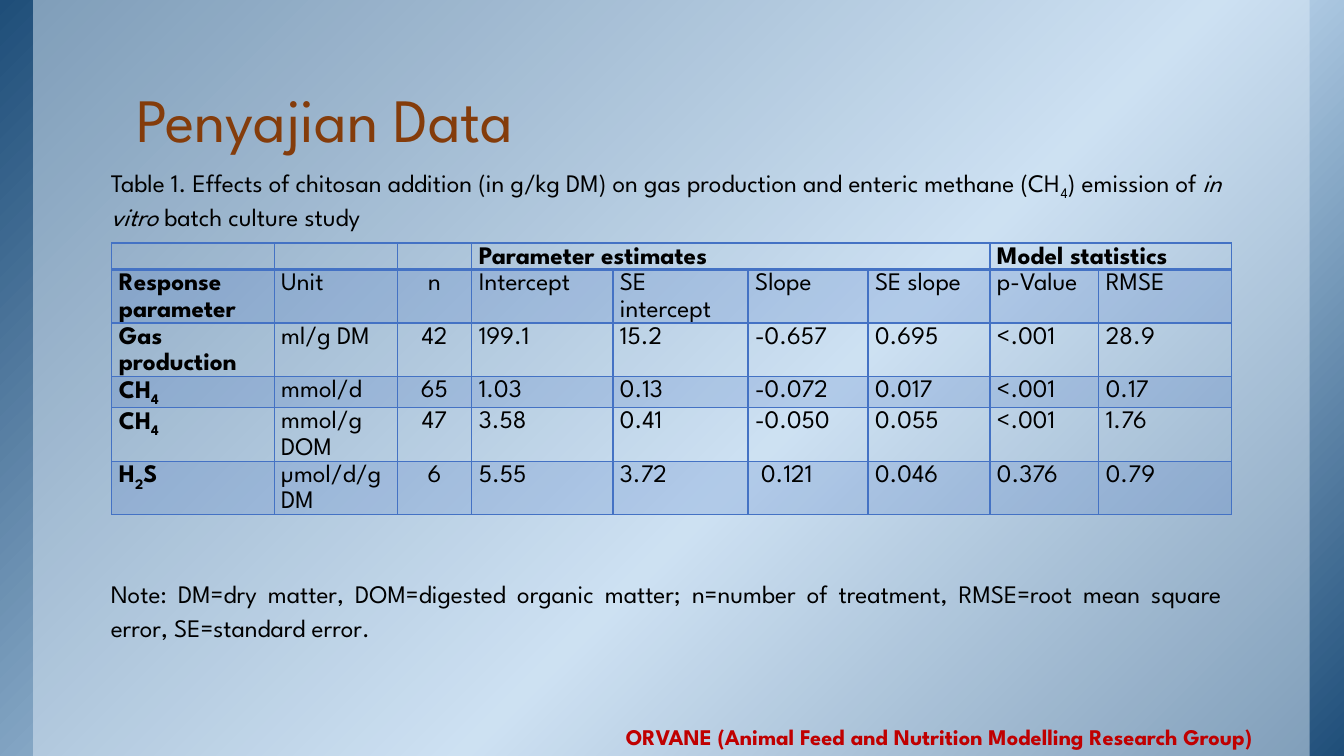
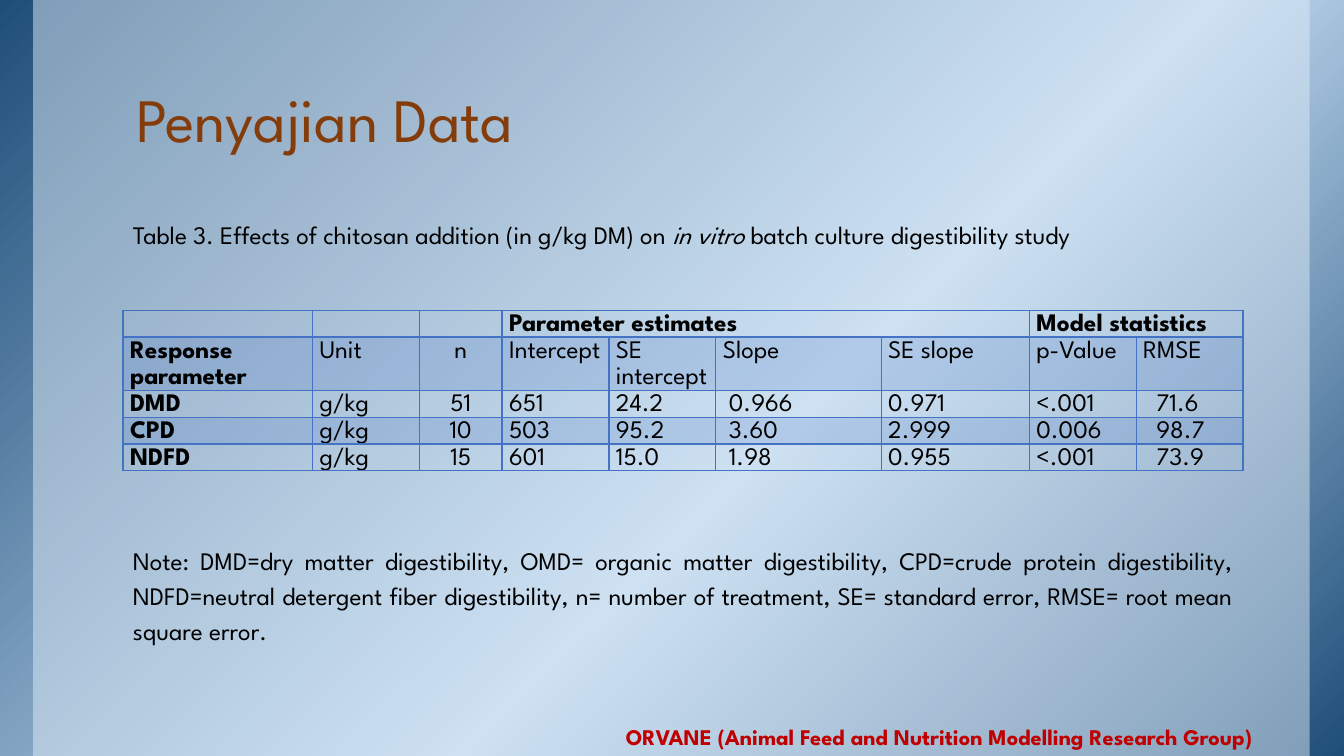
from lxml import etree
from pptx import Presentation
from pptx.dml.color import RGBColor
from pptx.enum.shapes import MSO_SHAPE as Shape
from pptx.enum.text import MSO_ANCHOR as Anchor, PP_ALIGN as Align
from pptx.oxml import parse_xml
from pptx.oxml.ns import nsdecls, qn
from pptx.util import Inches, Pt

WIDTH, HEIGHT = 13.33, 7.5
FONT = "League Spartan"
NAVY, SKY, PALE = "1F4E79", "BDD7EE", "DEEBF7"
BROWN, RED, BLACK, BLUE = "843C0B", "C00000", "000000", "4472C4"
FOOTER = "ORVANE (Animal Feed and Nutrition Modelling Research Group)"
TITLE_BOX = (1.22, 0.08, 11.11, 1.53)
FOOTER_BOX = (6.11, 7.12, 7.03, 0.37)

GROUPS = ["", "", "", "Parameter estimates", "", "", "", "Model statistics", ""]
HEADINGS = ["Response parameter", "Unit", "n", "Intercept", "SE intercept",
            "Slope", "SE slope", "p-Value", "RMSE"]

GAS_PAGE = dict(
    caption="Table 1. Effects of chitosan addition (in g/kg DM) on gas production and "
            "enteric methane (CH~4~) emission of *in vitro* batch culture study",
    caption_box=(1, 1.61, 11.22, 0.71),
    caption_format={},
    table_at=(1.11, 2.41),
    columns=[1.61, 1.22, 0.74, 1.4, 1.34, 1.19, 1.21, 1.08, 1.32],
    heights=[0.26, 0.53, 0.53, 0.31, 0.53, 0.53],
    records=[
        ["Gas production", "ml/g DM", "42", "199.1", "15.2", "-0.657", "0.695", "<.001", "28.9"],
        ["CH~4~", "mmol/d", "65", "1.03", "0.13", "-0.072", "0.017", "<.001", "0.17"],
        ["CH~4~", "mmol/g DOM", "47", "3.58", "0.41", "-0.050", "0.055", "<.001", "1.76"],
        ["H~2~S", "µmol/d/g DM", "6", "5.55", "3.72", "0.121", "0.046", "0.376", "0.79"],
    ],
    indents={(5, 5): 0.06},
    note="Note: DM=dry matter, DOM=digested organic matter; n=number of treatment, "
         "RMSE=root mean square error, SE=standard error.",
    note_box=(1, 5.64, 11.22, 0.78),
)

DIGESTIBILITY_PAGE = dict(
    caption="Table 3. Effects of chitosan addition (in g/kg DM) on *in vitro* "
            "batch culture digestibility study",
    caption_box=(1.22, 2.08, 11.11, 0.77),
    caption_format=dict(align=Align.JUSTIFY, spacing=1.15),
    table_at=(1.22, 3.08),
    columns=[1.88, 1.06, 0.82, 1.06, 1.06, 1.64, 1.47, 1.06, 1.06],
    heights=[0.26, 0.53, 0.26, 0.26, 0.26],
    records=[
        ["DMD", "g/kg", "51", "651", "24.2", "0.966", "0.971", "<.001", "71.6"],
        ["CPD", "g/kg", "10", "503", "95.2", "3.60", "2.999", "0.006", "98.7"],
        ["NDFD", "g/kg", "15", "601", "15.0", "1.98", "0.955", "<.001", "73.9"],
    ],
    indents={(row, col): inset for row in (2, 3, 4) for col, inset in ((5, 0.06), (8, 0.13))},
    note="Note: DMD=dry matter digestibility, OMD= organic matter digestibility, "
         "CPD=crude protein digestibility, NDFD=neutral detergent fiber digestibility, "
         "n= number of treatment, SE= standard error, RMSE= root mean square error.",
    note_box=(1.22, 5.32, 11.11, 1.12),
)


def color(value):
    """Turn a hex string into a colour."""
    return RGBColor.from_string(value)


def inches(box):
    """Turn a sequence of inches into lengths."""
    return [Inches(value) for value in box]


def set_alpha(element, percent):
    """Make the solid colours inside an element partly transparent."""
    for solid in element.iter(qn("a:srgbClr")):
        etree.SubElement(solid, qn("a:alpha")).set("val", str(percent * 1000))


def write(frame, text, size=18, ink=BLACK, bold=False, align=Align.LEFT, spacing=None):
    """Write text in a frame, with *italic* and ~subscript~ marks."""
    frame.word_wrap = True
    para = frame.paragraphs[0]
    para.alignment, para.line_spacing = align, spacing
    for italic, chunk in enumerate(text.split("*")):
        for lowered, part in enumerate(chunk.split("~")):
            if not part:
                continue
            span = para.add_run()
            span.text = part
            font = span.font
            font.name, font.size, font.bold = FONT, Pt(size), bold
            font.italic = italic % 2 == 1
            font.color.rgb = color(ink)
            if lowered % 2:
                span._r.get_or_add_rPr().set("baseline", "-25000")


def add_label(page, box, text, **style):
    """Add a text box."""
    write(page.shapes.add_textbox(*inches(box)).text_frame, text, **style)


def add_panel(page, layout, box, position):
    """Add a plain rectangle behind everything on the layout."""
    panel = page.shapes.add_shape(Shape.RECTANGLE, *inches(box))
    panel.shadow.inherit = False
    panel.line.fill.background()
    layout.shapes.element.insert(position, panel.element)
    return panel


def add_backdrop(page, layout):
    """Give the layout its diagonal gradient and its pale translucent band."""
    wash = add_panel(page, layout, (0, 0, WIDTH, HEIGHT), 2)
    stops = "".join(f'<a:gs pos="{share * 1000}"><a:srgbClr val="{tint}"/></a:gs>'
                    for share, tint in ((0, NAVY), (58, SKY), (100, NAVY)))
    gradient = parse_xml(f'<a:gradFill {nsdecls("a")} rotWithShape="1"><a:gsLst>{stops}</a:gsLst>'
                         '<a:lin ang="2700000" scaled="1"/></a:gradFill>')
    wash.element.spPr.find(qn("a:prstGeom")).addnext(gradient)
    band = add_panel(page, layout, (0.33, 0, 12.66, HEIGHT), 3)
    band.fill.solid()
    band.fill.fore_color.rgb = color(PALE)
    set_alpha(band.element.spPr, 50)


def set_borders(cell, bottom):
    """Draw the four borders of a cell."""
    properties = cell._tc.get_or_add_tcPr()
    for index, (side, width) in enumerate((("L", 1), ("R", 1), ("T", 1), ("B", bottom))):
        properties.insert(index, parse_xml(
            f'<a:ln{side} {nsdecls("a")} w="{Pt(width)}"><a:solidFill>'
            f'<a:srgbClr val="{BLUE}"/></a:solidFill></a:ln{side}>'))


def format_cell(cell, text, row, col, indent):
    """Fill, border and write one table cell."""
    cell.margin_left, cell.margin_right = Inches(0.07 + indent), Inches(0.07)
    cell.margin_top = cell.margin_bottom = 0
    if row % 2:
        cell.fill.solid()
        cell.fill.fore_color.rgb = color(BLUE)
        set_alpha(cell._tc.tcPr, 20)
    else:
        cell.fill.background()
    set_borders(cell, 1 if row else 2)
    write(cell.text_frame, text, bold=row == 0 or col == 0, spacing=1.15,
          align=Align.CENTER if col == 2 else Align.LEFT)
    if not text:
        etree.SubElement(cell.text_frame.paragraphs[0]._p, qn("a:endParaRPr")).set("sz", "1200")


def add_results(page, at, columns, heights, records, indents):
    """Add the table of estimates under its two heading rows."""
    rows = [GROUPS, HEADINGS, *records]
    box = (*at, sum(columns), sum(heights))
    table = page.shapes.add_table(len(rows), len(columns), *inches(box)).table
    table.first_row = table.horz_banding = False
    for column, width in zip(table.columns, columns):
        column.width = Inches(width)
    for line, height in zip(table.rows, heights):
        line.height = Inches(height)
    for row, values in enumerate(rows):
        for col, text in enumerate(values):
            format_cell(table.cell(row, col), text, row, col, indents.get((row, col), 0))
    for first, last in ((3, 6), (7, 8)):
        table.cell(0, first).merge(table.cell(0, last))


def add_title(page):
    """Place and format the title."""
    title = page.shapes.title
    title.left, title.top, title.width, title.height = inches(TITLE_BOX)
    frame = title.text_frame
    frame.vertical_anchor = Anchor.BOTTOM
    frame.margin_left = frame.margin_right = Inches(0.13)
    frame.margin_top = frame.margin_bottom = Inches(0.07)
    write(frame, "Penyajian Data", size=44, ink=BROWN, spacing=0.85)


def add_data_page(page, content):
    """Build one page with a caption, a table and a note."""
    add_title(page)
    add_results(page, content["table_at"], content["columns"], content["heights"],
                content["records"], content["indents"])
    add_label(page, content["caption_box"], content["caption"], **content["caption_format"])
    add_label(page, content["note_box"], content["note"], align=Align.JUSTIFY, spacing=1.15)
    add_label(page, FOOTER_BOX, FOOTER, size=16, ink=RED, bold=True)


def main():
    """Build and save the deck."""
    deck = Presentation()
    deck.slide_width, deck.slide_height = inches((WIDTH, HEIGHT))
    layout = deck.slide_layouts[5]
    pages = [deck.slides.add_slide(layout) for _ in range(2)]
    add_backdrop(pages[0], layout)
    for page, content in zip(pages, (GAS_PAGE, DIGESTIBILITY_PAGE)):
        add_data_page(page, content)
    deck.save("out.pptx")


if __name__ == "__main__":
    main()
